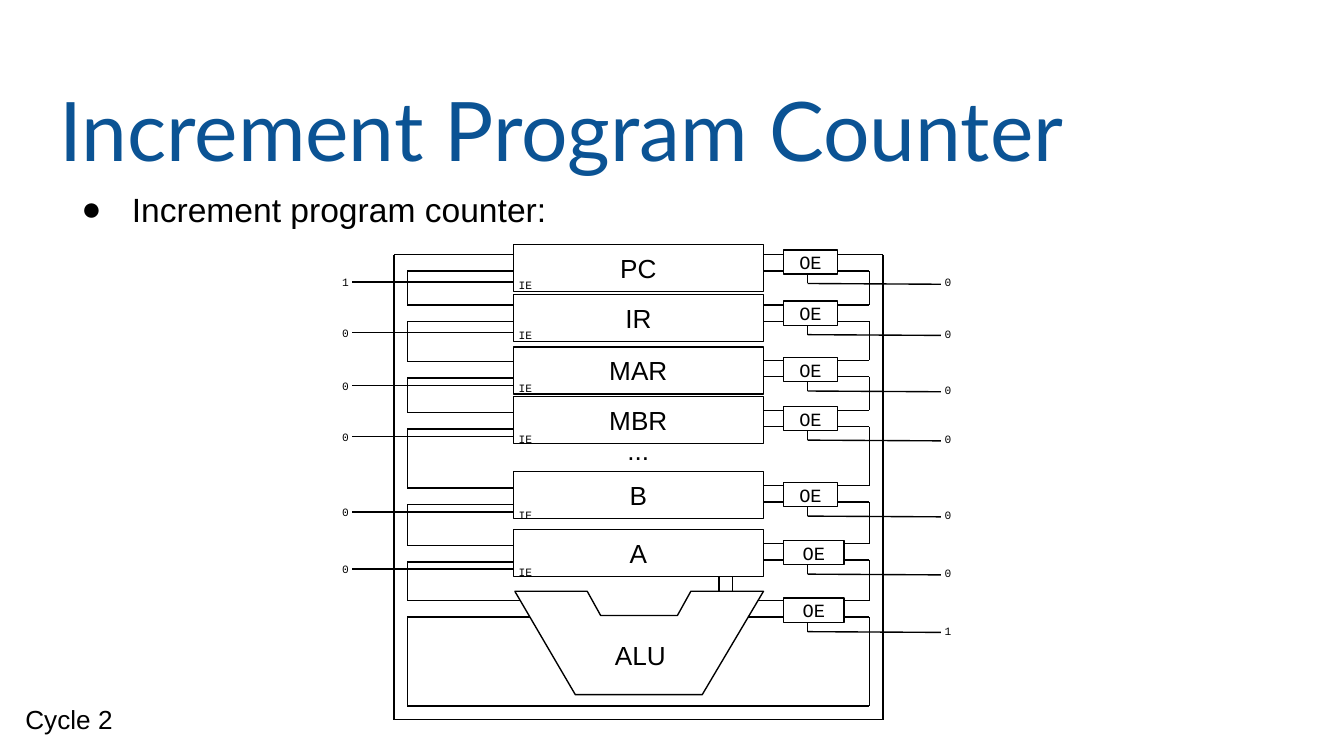
import pptx
import pptx.dml.color
import pptx.enum.shapes
import pptx.enum.text
import pptx.oxml
import pptx.oxml.ns
import pptx.util
from pptx.util import Pt

BLACK = pptx.dml.color.RGBColor(0x00, 0x00, 0x00)
WHITE = pptx.dml.color.RGBColor(0xFF, 0xFF, 0xFF)
TITLE_BLUE = pptx.dml.color.RGBColor(0x0B, 0x53, 0x94)
ALIGN = pptx.enum.text.PP_ALIGN
ANCHOR = pptx.enum.text.MSO_ANCHOR
RECTANGLE = pptx.enum.shapes.MSO_SHAPE.RECTANGLE
STRAIGHT = pptx.enum.shapes.MSO_CONNECTOR.STRAIGHT

presentation = pptx.Presentation()
presentation.slide_width = Pt(720)
presentation.slide_height = Pt(405)
slide = presentation.slides.add_slide(presentation.slide_layouts[1])


def add_text(shape, text, size, font="Arial", color=BLACK,
             align=ALIGN.LEFT, anchor=ANCHOR.TOP, wrap=True):
    """Fill a shape, text box or placeholder with one formatted paragraph."""
    frame = shape.text_frame
    frame.text = text
    frame.word_wrap = wrap
    frame.auto_size = pptx.enum.text.MSO_AUTO_SIZE.NONE
    frame.vertical_anchor = anchor
    frame.margin_left = frame.margin_right = Pt(7.2)
    frame.margin_top = frame.margin_bottom = Pt(7.2)
    paragraph = frame.paragraphs[0]
    paragraph.alignment = align
    run_font = paragraph.runs[0].font
    run_font.name, run_font.size, run_font.color.rgb = font, Pt(size), color
    return paragraph


def add_line(x1, y1, x2, y2):
    line = slide.shapes.add_connector(STRAIGHT, Pt(x1), Pt(y1), Pt(x2), Pt(y2))
    line.line.color.rgb = BLACK
    line.line.width = Pt(0.75)
    line._element.spPr.append(pptx.oxml.parse_xml(
        "<a:effectLst %s/>" % pptx.oxml.ns.nsdecls("a")))


# Title and list
title = slide.shapes.title
title.left, title.top, title.width, title.height = Pt(24.5), Pt(35.3), Pt(671), Pt(45.4)
add_text(title, "Increment Program Counter", 44, "Lato", TITLE_BLUE)

body = slide.placeholders[1]
body.left, body.top, body.width, body.height = Pt(27.4), Pt(90.7), Pt(625.7), Pt(94.3)
item = add_text(body, "Increment program counter:", 18)
item.line_spacing = 1.15
item.space_before = Pt(0)
item_properties = item._p.get_or_add_pPr()
item_properties.set("marL", str(Pt(36)))
item_properties.set("indent", str(Pt(-27)))
for bullet_xml in ('<a:buClr %s><a:srgbClr val="000000"/></a:buClr>',
                   '<a:buChar %s char="●"/>'):
    item_properties.append(pptx.oxml.parse_xml(bullet_xml % pptx.oxml.ns.nsdecls("a")))

# Datapath rows: name, register top, left bus y, right bus y, IE wire y, IE bit,
# OE top, OE width, OE bit. The ALU has no register box or IE wire.
ROWS = [
    ("PC", 131, 136.4, 136.4, 151.2, "1", 133.9, 28.8, "0"),
    ("IR", 157.7, 163.4, 163.4, 178.2, "0", 161.3, 28.8, "0"),
    ("MAR", 185.8, 193.7, 193, 206.6, "0", 191.5, 28.8, "0"),
    ("MBR", 212.4, 221, 219.8, 234, "0", 217.8, 28.8, "0"),
    ("B", 252.7, 261.4, 260.2, 274.3, "0", 258.5, 28.8, "0"),
    ("A", 283.7, 292.3, 291.2, 304.9, "0", 289.6, 32.4, "0"),
    ("ALU", None, 321.8, 321.8, None, None, 320.4, 32.4, "1"),
]
REGISTER_LEFT, REGISTER_WIDTH, REGISTER_HEIGHT = 275, 134, 25.2
BUS_GAP = 8.8
OE_LEFT, OE_HEIGHT = 419.8, 13
INNER_BOTTOM, OUTER_BOTTOM = 378.2, 385.6

# Bus: an outer rail, and an inner rail broken at each row
for bus_column, bus_end, outer, inner in ((2, 288, 211, 218.2), (3, 396, 473, 465.8)):
    uppers = [row[bus_column] for row in ROWS]
    add_line(outer, uppers[0], outer, OUTER_BOTTOM)
    add_line(342, OUTER_BOTTOM, outer, OUTER_BOTTOM)
    add_line(342, INNER_BOTTOM, inner, INNER_BOTTOM)
    for upper, next_upper in zip(uppers, uppers[1:] + [INNER_BOTTOM]):
        add_line(bus_end, upper, outer if upper == uppers[0] else inner, upper)
        add_line(bus_end, upper + BUS_GAP, inner, upper + BUS_GAP)
        add_line(inner, upper + BUS_GAP, inner, next_upper)

# Link from A to the ALU
for x in (385.2, 392.4):
    add_line(x, 308.9, x, 316.8)

# ALU
alu_points = [(275.8, 316.8), (314.6, 316.8), (321.8, 329.8), (362.9, 329.8),
              (370.1, 316.8), (409, 316.8), (376.2, 372.2), (308.2, 372.2)]
builder = slide.shapes.build_freeform(Pt(alu_points[0][0]), Pt(alu_points[0][1]))
builder.add_line_segments([(Pt(x), Pt(y)) for x, y in alu_points[1:]], close=True)
alu = builder.convert_to_shape()

# Registers and output enables
boxes = [alu]
for name, top, _, _, ie_y, ie_bit, oe_top, oe_width, oe_bit in ROWS:
    box_specs = [("OE", OE_LEFT, oe_top, oe_width, OE_HEIGHT, 10, "Courier New")]
    labels = [(oe_bit, 499, oe_top + 6.6, 18)]
    wire_y = oe_top + 18
    add_line(432.7, oe_top + OE_HEIGHT, 432.7, wire_y)
    add_line(432.7, wire_y, 504, wire_y + 0.4)
    if top is not None:
        box_specs.append((name, REGISTER_LEFT, top, REGISTER_WIDTH,
                          REGISTER_HEIGHT, 14, "Arial"))
        labels += [("IE", 270.7, ie_y - 9.4, 24), (ie_bit, 176.2, ie_y - 10.8, 18)]
    for text, left, box_top, width, height, size, font in box_specs:
        box = slide.shapes.add_shape(RECTANGLE, Pt(left), Pt(box_top), Pt(width), Pt(height))
        add_text(box, text, size, font, align=ALIGN.CENTER, anchor=ANCHOR.MIDDLE)
        boxes.append(box)
    if ie_y is not None:
        add_line(188.6, ie_y, REGISTER_LEFT, ie_y)
    for text, left, label_top, width in labels:
        label = slide.shapes.add_textbox(Pt(left), Pt(label_top), Pt(width), Pt(15))
        add_text(label, text, 6, "Courier New", wrap=False)

for box in boxes:
    box.shadow.inherit = False
    box.fill.solid()
    box.fill.fore_color.rgb = WHITE
    box.line.color.rgb = BLACK
    box.line.width = Pt(0.75)

# Captions
for text, left, top, width, height, align in (
        ("ALU", 319, 335.5, 48.2, 21.6, ALIGN.CENTER),
        ("...", 329, 225.4, 27.4, 31.7, ALIGN.LEFT),
        ("Cycle 2", 6.5, 369.4, 313.2, 35.6, ALIGN.LEFT)):
    caption = slide.shapes.add_textbox(Pt(left), Pt(top), Pt(width), Pt(height))
    add_text(caption, text, 14, align=align)

presentation.save("out.pptx")
